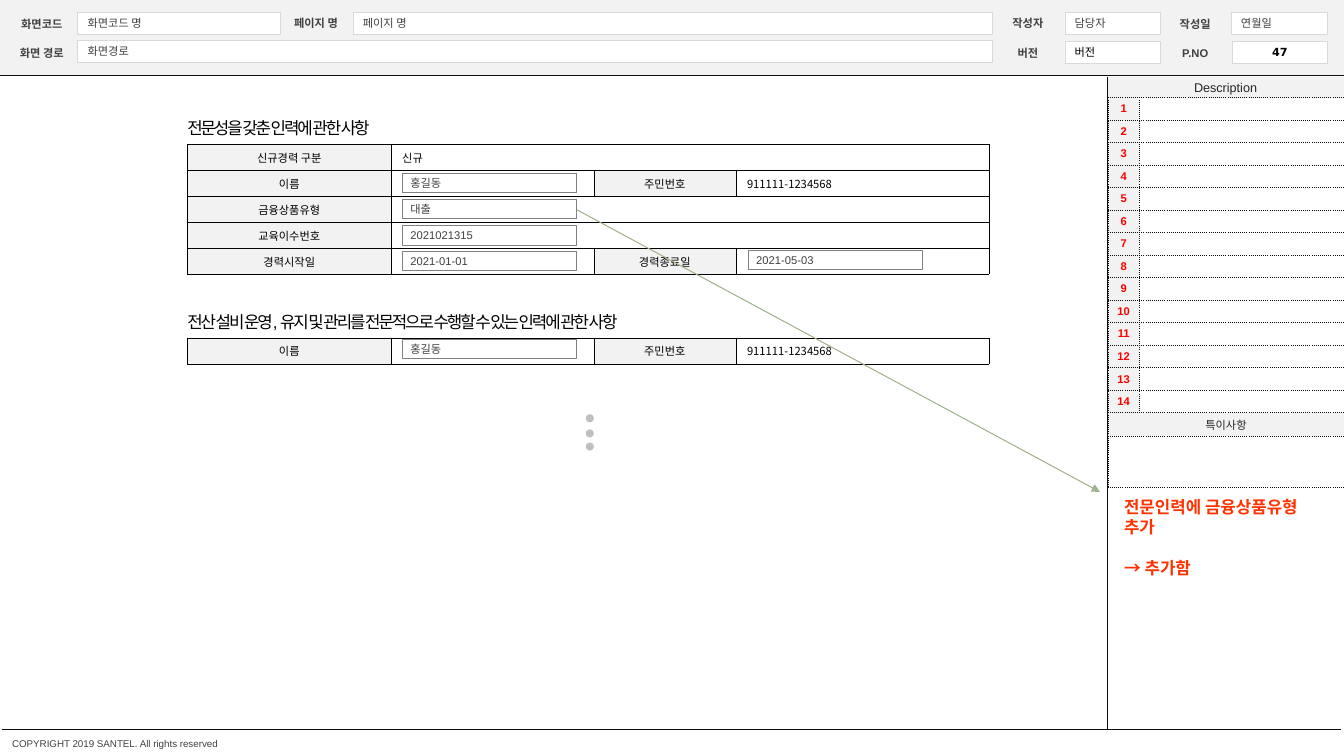
from dataclasses import dataclass
from pptx import Presentation
from pptx.dml.color import RGBColor
from pptx.enum.dml import MSO_LINE
from pptx.enum.shapes import MSO_CONNECTOR, MSO_SHAPE
from pptx.enum.text import MSO_ANCHOR, PP_ALIGN
from pptx.oxml import parse_xml
from pptx.oxml.ns import nsdecls, qn
from pptx.util import Inches, Pt


@dataclass(frozen=True)
class Theme:
    sans: str = "Arial"
    hangul: str = "Noto Sans CJK KR"
    number: str = "DejaVu Sans"
    tiny: float = 7
    small: float = 8
    label: float = 9
    title: float = 12
    white: str = "FFFFFF"
    pale: str = "F2F2F2"
    edge: str = "D9D9D9"
    dot: str = "BFBFBF"
    field: str = "808080"
    gray: str = "404040"
    dark: str = "262626"
    ink: str = "0D0D0D"
    black: str = "000000"
    red: str = "FF0000"
    note: str = "FF3300"
    arrow: str = "A1B28E"


T = Theme()


@dataclass(frozen=True)
class Style:
    size: float = T.small
    color: str = T.gray
    font: str = T.sans
    bold: bool = False
    align: PP_ALIGN = PP_ALIGN.LEFT


@dataclass(frozen=True)
class Area:
    x: float
    y: float
    w: float
    h: float
    text: str = ""


@dataclass(frozen=True)
class Rule:
    x: float
    y: float
    end_x: float
    end_y: float


PLAIN = Style()
TAG = Style(bold=True, align=PP_ALIGN.CENTER)
HEAD = Style(T.title, T.black)
KEY = Style(color=T.black, align=PP_ALIGN.CENTER)
KEY_KR = Style(color=T.black, font=T.hangul, align=PP_ALIGN.CENTER)
VALUE = Style(color=T.black, font=T.hangul)
INDEX = Style(color=T.red, bold=True, align=PP_ALIGN.CENTER)
REMARK = Style(color=T.dark, align=PP_ALIGN.CENTER)

deck = Presentation()
deck.slide_width, deck.slide_height = Inches(13.33), Inches(7.5)
slide = deck.slides.add_slide(deck.slide_layouts[6])
shapes = slide.shapes


def rgb(code: str) -> RGBColor:
    return RGBColor.from_string(code)


def format_text(para, style: Style) -> None:
    para.alignment = style.align
    font = para.font
    font.size, font.name, font.bold = Pt(style.size), style.font, style.bold
    font.color.rgb = rgb(style.color)


def write(frame, text: str, style: Style, inset=(0, 0, 0, 0), wrap=True) -> None:
    frame.margin_left, frame.margin_top, frame.margin_right, frame.margin_bottom = map(Inches, inset)
    frame.word_wrap = wrap
    frame.text = text
    for para in frame.paragraphs:
        format_text(para, style)


def add_box(area: Area, fill: str, line: str = "", width: float = 0.25,
            style: Style = PLAIN, inset=(0.1, 0, 0.1, 0), kind=MSO_SHAPE.RECTANGLE):
    box = shapes.add_shape(kind, Inches(area.x), Inches(area.y), Inches(area.w), Inches(area.h))
    box.shadow.inherit = False
    box.fill.solid()
    box.fill.fore_color.rgb = rgb(fill)
    if line:
        box.line.color.rgb = rgb(line)
        box.line.width = Pt(width)
    else:
        box.line.fill.background()
    if area.text:
        box.text_frame.vertical_anchor = MSO_ANCHOR.MIDDLE
        write(box.text_frame, area.text, style, inset)


def add_label(area: Area, style: Style, inset=(0, 0, 0, 0), wrap=True):
    label = shapes.add_textbox(Inches(area.x), Inches(area.y), Inches(area.w), Inches(area.h))
    write(label.text_frame, area.text, style, inset, wrap)
    return label.text_frame


def add_rule(rule: Rule, color: str, width: float):
    line = shapes.add_connector(MSO_CONNECTOR.STRAIGHT, Inches(rule.x), Inches(rule.y),
                                Inches(rule.end_x), Inches(rule.end_y))
    line.line.color.rgb = rgb(color)
    line.line.width = Pt(width)
    line._element.spPr.append(parse_xml(f"<a:effectLst {nsdecls('a')}/>"))
    return line.line


def set_cell(cell, text: str, style: Style, fill: str, line: str, width: float, dash: str) -> None:
    props = cell._tc.get_or_add_tcPr()
    for side in ("lnL", "lnR", "lnT", "lnB"):
        props.append(parse_xml(
            f'<a:{side} {nsdecls("a")} w="{int(Pt(width))}"><a:solidFill><a:srgbClr val="{line}"/>'
            f'</a:solidFill><a:prstDash val="{dash}"/></a:{side}>'))
    cell.fill.solid()
    cell.fill.fore_color.rgb = rgb(fill)
    cell.vertical_anchor = MSO_ANCHOR.MIDDLE
    left = 0.11 if style == VALUE else 0.02
    cell.margin_left = Inches(left)
    cell.margin_right = cell.margin_top = cell.margin_bottom = Inches(0.02)
    cell.text = text
    para = cell.text_frame.paragraphs[0]
    format_text(para, style)
    if not text:
        para._p.get_or_add_endParaRPr().set("sz", str(int(style.size * 100)))


def add_grid(area: Area, cols, rows, cells, merges, line: str, width: float, dash: str) -> None:
    grid = shapes.add_table(len(rows), len(cols), Inches(area.x), Inches(area.y),
                            Inches(area.w), Inches(area.h)).table
    grid.first_row = grid.horz_banding = False
    for col, size in zip(grid.columns, cols):
        col.width = Inches(size)
    for row, size in zip(grid.rows, rows):
        row.height = Inches(size)
    for r, row in enumerate(cells):
        for c, (text, style) in enumerate(row):
            fill = T.pale if text and style != VALUE else T.white
            set_cell(grid.cell(r, c), text, style, fill, line, width, dash)
    for r, first in merges:
        grid.cell(r, first).merge(grid.cell(r, len(cols) - 1))


def add_form(y: float, cells, merges=()) -> None:
    height = 0.258 * len(cells)
    add_grid(Area(1.86, y, 7.94, height), (2.02, 2.01, 1.41, 2.51), [0.258] * len(cells),
             cells, merges, T.black, 0.25, "solid")


# Header band with fields and their labels
add_box(Area(0, 0, 13.33, 0.75), T.pale)
for area in (Area(0.77, 0.12, 2.01, 0.22, "화면코드 명"), Area(3.5, 0.12, 6.34, 0.22, "페이지 명"),
             Area(0.77, 0.4, 9.07, 0.22, "화면경로"), Area(10.56, 0.12, 0.95, 0.22, "담당자"),
             Area(12.21, 0.12, 0.95, 0.22, "연월일")):
    add_box(area, T.white, T.edge)
add_box(Area(10.56, 0.41, 0.95, 0.22, "버전"), T.white, T.edge, style=Style(color=T.black))
add_box(Area(12.22, 0.41, 0.95, 0.22, "47"), T.white, T.edge, 0.75,
        Style(color=T.black, font=T.number, bold=True, align=PP_ALIGN.CENTER))
for x, y, text in ((0.06, 0.17, "화면코드"), (0.06, 0.46, "화면 경로"), (2.78, 0.16, "페이지 명"),
                   (9.84, 0.16, "작성자"), (11.5, 0.17, "작성일"), (9.84, 0.46, "버전"),
                   (11.5, 0.46, "P.NO")):
    add_label(Area(x, y, 0.71, 0.13, text), TAG)

# Frame rules, side heading and footer
add_box(Area(10.98, 0.76, 2.35, 0.22, "Description"), T.pale,
        style=Style(T.label, T.dark, align=PP_ALIGN.CENTER))
for rule in (Rule(0, 0.75, 13.33, 0.75), Rule(10.98, 0.97, 13.33, 0.97),
             Rule(10.98, 0.76, 10.98, 7.23), Rule(0.02, 7.23, 13.29, 7.23),
             Rule(0.06, 7.23, 13.26, 7.23)):
    add_rule(rule, T.ink, 0.25).dash_style = MSO_LINE.ROUND_DOT
add_label(Area(0.12, 7.32, 3.65, 0.12, "COPYRIGHT 2019 SANTEL. All rights reserved"), Style(T.tiny))

# Section titles
for area in (Area(1.76, 1.12, 2.44, 0.3, "전문성을 갖춘 인력에 관한 사항"),
             Area(1.76, 3.04, 5.35, 0.3, "전산 설비 운영, 유지 및 관리를 전문적으로 수행할 수 있는 인력에 관한 사항")):
    title = add_label(area, HEAD, (0.1, 0.05, 0.1, 0.05), wrap=False)
    title.paragraphs[0].runs[0]._r.get_or_add_rPr().set("spc", "-150")

# Form tables
none = ("", PLAIN)
person = (("이름", KEY), none, ("주민번호", KEY_KR), ("911111-1234568", VALUE))
add_form(1.43, (
    (("신규경력 구분", KEY), ("신규", VALUE), none, none),
    person,
    (("금융상품유형", KEY), none, none, none),
    (("교육이수번호", KEY), none, none, none),
    (("경력시작일", KEY), none, ("경력종료일", KEY_KR), none),
), ((0, 1), (2, 1), (3, 1)))
add_form(3.35, (person,))

# Input fields
for x, y, text in ((3.99, 1.72, "홍길동"), (3.99, 1.98, "대출"), (3.99, 2.24, "2021021315"),
                   (3.99, 2.49, "2021-01-01"), (7.42, 2.48, "2021-05-03"), (3.99, 3.37, "홍길동")):
    add_box(Area(x, y, 1.73, 0.19, text), T.white, T.field, 0.5, inset=(0.08, 0.04, 0.18, 0.04))

# Continuation dots
for y in (4.11, 4.26, 4.39):
    add_box(Area(5.81, y, 0.08, 0.08), T.dot, kind=MSO_SHAPE.OVAL)

# Description list
items = [((str(n), INDEX), none) for n in range(1, 15)]
add_grid(Area(10.99, 0.97, 2.34, 3.87), (0.31, 2.03), [3.13 / 14] * 14 + [0.23, 0.51],
         items + [(("특이사항", REMARK), none), (none, none)], ((14, 0), (15, 0)),
         T.ink, 0.5, "sysDot")

# Change note and its arrow
note = add_label(Area(11.05, 4.88, 2.24, 0.91, "전문인력에 금융상품유형\n추가\n→ 추가함"),
                 Style(T.title, T.note, T.hangul, True), (0.1, 0.05, 0.1, 0.05))
note.paragraphs[2].space_before = Pt(14.4)
arrow = add_rule(Rule(5.72, 2.08, 10.91, 4.88), T.arrow, 0.75)
arrow._get_or_add_ln().append(parse_xml(f'<a:tailEnd {nsdecls("a")} type="triangle"/>'))

deck.save("out.pptx")
